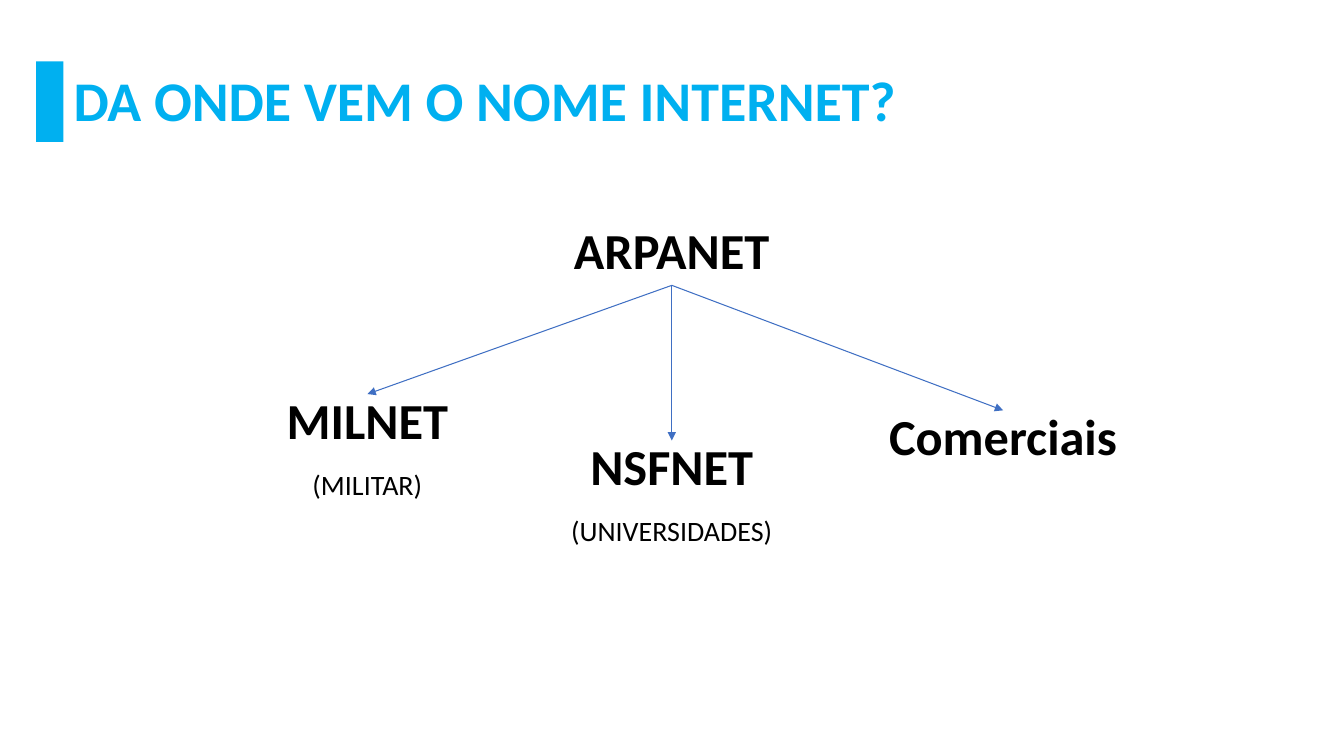
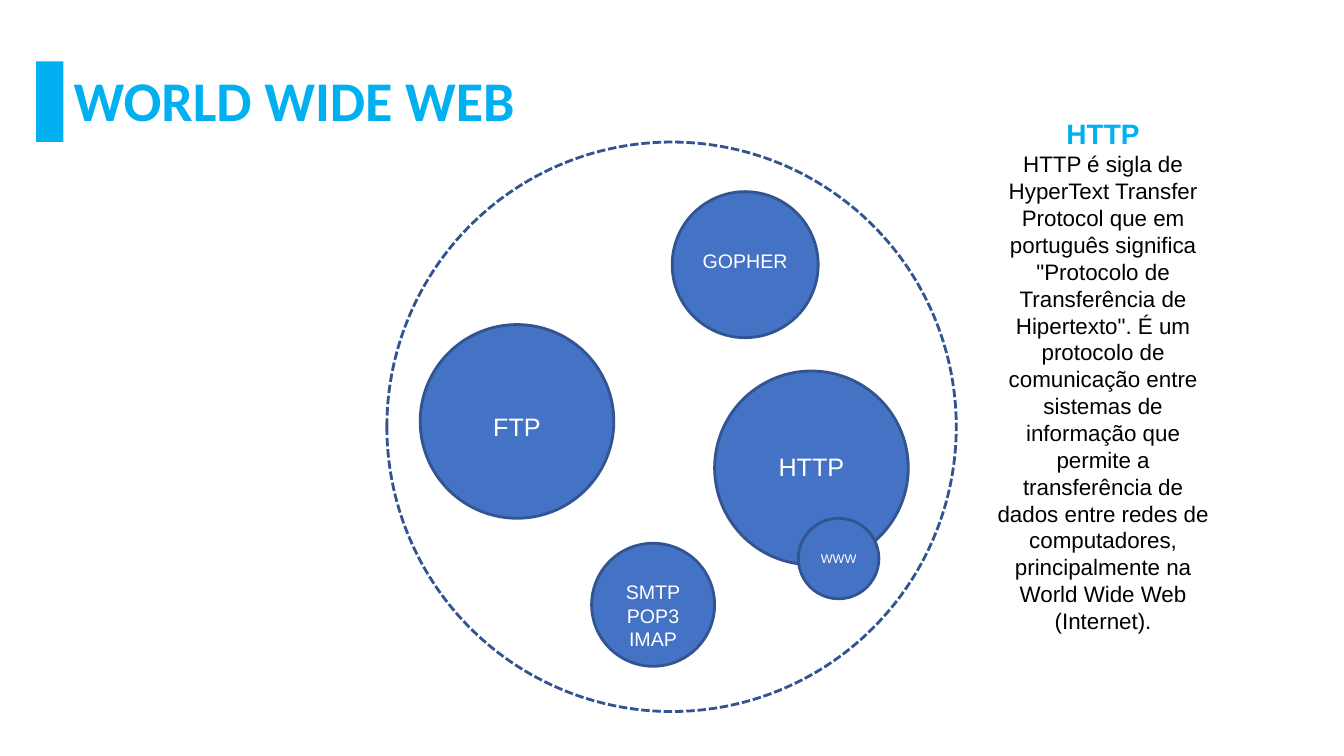
from pptx import Presentation
from pptx import util as u
from pptx.dml.color import RGBColor
from pptx.enum import dml, shapes, text
from pptx.oxml.ns import qn
from lxml import etree

CYAN = RGBColor(0x00, 0xB0, 0xF0)
BLUE = RGBColor(0x44, 0x72, 0xC4)
NAVY = RGBColor(0x32, 0x54, 0x91)
ARROW = RGBColor(0x3F, 0x6F, 0xC3)
BLACK = RGBColor(0, 0, 0)
WHITE = RGBColor(255, 255, 255)
HEAD, BODY = "Calibri", "Arial"
LEFT, MID = text.PP_ALIGN.LEFT, text.PP_ALIGN.CENTER

# Boxes: left, top, width, height in cm
PAGE = (33.87, 19.05)
TITLE = (1.6, 0.76, 22.63, 3.68)
BAR = (0.91, 1.55, 0.69, 2.03)
TREE = (5.59, 5.64, 23.36, 9)
RING = (9.75, 3.58, 14.35, 14.35)
NOTE = (24.79, 2.82, 6.02, 13.41)
TAG = (7.34, 1.55)  # width and height of a tree label

# Centre and top inside the tree, name, caption
ROOT = (11.34, 0, "ARPANET", "")
NODES = [
    (3.67, 4.29, "MILNET", "(MILITAR)"),
    (11.34, 5.46, "NSFNET", "(UNIVERSIDADES)"),
    (19.69, 4.7, "Comerciais", ""),
]
# Left and top inside the ring, diameter, lines, size, text shift
DISCS = [
    (0.84, 4.6, 4.88, ["FTP"], 18, 0.12),
    (7.19, 1.25, 3.68, ["GOPHER"], 14, -0.09),
    (5.16, 10.11, 3.1, ["SMTP", "POP3", "IMAP"], 14, 0.27),
    (8.26, 5.77, 4.88, ["HTTP"], 18, -0.03),
    (10.37, 9.48, 2.03, ["WWW"], 9, 0),
]
ABOUT = (
    "HTTP é sigla de HyperText Transfer Protocol que em português significa "
    "\"Protocolo de Transferência de Hipertexto\". É um protocolo de "
    "comunicação entre sistemas de informação que permite a transferência de "
    "dados entre redes de computadores, principalmente na World Wide Web "
    "(Internet)."
)


def cm(box):
    return [u.Cm(n) for n in box]


def write(frame, lines, align=MID, gap=None):
    """Fill a frame; each line is (words, size, font, colour, bold)."""
    for i, (words, size, face, hue, bold) in enumerate(lines):
        para = frame.paragraphs[0] if i == 0 else frame.add_paragraph()
        para.alignment = align
        if gap:
            para.line_spacing = gap
        run = para.add_run()
        run.text = words
        font = run.font
        font.size, font.name, font.bold = u.Pt(size), face, bold
        font.color.rgb = hue


def shape(slide, kind, box, fill, line=None):
    item = slide.shapes.add_shape(kind, *cm(box))
    item.shadow.inherit = False
    item.fill.solid()
    item.fill.fore_color.rgb = fill
    if line is None:
        item.line.fill.background()
    else:
        item.line.color.rgb = line
        item.line.width = u.Pt(2)
    return item


def label(slide, box, lines, gap=None, anchor=text.MSO_ANCHOR.MIDDLE):
    frame = slide.shapes.add_textbox(*cm(box)).text_frame
    frame.word_wrap = True
    frame.vertical_anchor = anchor
    write(frame, lines, gap=gap)


def arrow(slide, start, end):
    line = slide.shapes.add_connector(
        shapes.MSO_CONNECTOR.STRAIGHT, *cm(start + end))
    line.line.color.rgb = ARROW
    line.line.width = u.Pt(0.75)
    props = line.line._get_or_add_ln()
    etree.SubElement(props, qn("a:tailEnd"), type="triangle")
    etree.SubElement(props.getparent(), qn("a:effectLst"))


def page(deck, name):
    """Add a slide with the shared title and side bar."""
    slide = deck.slides.add_slide(deck.slide_layouts[5])
    title = slide.shapes.title
    title.left, title.top, title.width, title.height = cm(TITLE)
    frame = title.text_frame
    frame.vertical_anchor = text.MSO_ANCHOR.MIDDLE
    write(frame, [(name, 40, HEAD, CYAN, True)], LEFT, 0.9)
    shape(slide, shapes.MSO_SHAPE.RECTANGLE, BAR, CYAN)
    return slide


def tree(slide, box):
    """Root label with an arrow to each branch."""
    left, top = box[:2]
    wide, high = TAG
    for mid, drop, name, note in [ROOT] + NODES:
        x, y = left + mid - wide / 2, top + drop
        label(slide, (x, y, wide, high), [(name, 36, HEAD, BLACK, True)], 0.8)
        if note:
            label(slide, (x, y + high, wide, high),
                  [(note, 20, HEAD, BLACK, False)], 0.9)
    for mid, drop, *_ in NODES:
        arrow(slide, (left + ROOT[0], top + high), (left + mid, top + drop))


def ring(slide, box):
    """Dashed circle holding the protocol discs."""
    oval = shapes.MSO_SHAPE.OVAL
    rim = shape(slide, oval, box, WHITE, NAVY)
    rim.line.dash_style = dml.MSO_LINE.SQUARE_DOT
    for x, y, size, lines, pts, shift in DISCS:
        disc = shape(slide, oval, (box[0] + x, box[1] + y, size, size),
                     BLUE, NAVY)
        frame = disc.text_frame
        frame.word_wrap = False
        frame.vertical_anchor = text.MSO_ANCHOR.MIDDLE
        frame.margin_left = frame.margin_right = 0
        frame.margin_top = u.Cm(max(2 * shift, 0))
        frame.margin_bottom = u.Cm(max(-2 * shift, 0))
        write(frame, [(line, pts, BODY, WHITE, False) for line in lines])


def note(slide, box):
    """Side text that explains HTTP."""
    label(slide, box, [("HTTP", 20, BODY, CYAN, True),
                       (ABOUT, 16, BODY, BLACK, False)],
          anchor=text.MSO_ANCHOR.TOP)


def main():
    deck = Presentation()
    deck.slide_width, deck.slide_height = cm(PAGE)

    # Origin of the name
    tree(page(deck, "DA ONDE VEM O NOME INTERNET?"), TREE)

    # Protocols of the web
    web = page(deck, "WORLD WIDE WEB")
    ring(web, RING)
    note(web, NOTE)

    deck.save("out.pptx")


if __name__ == "__main__":
    main()
